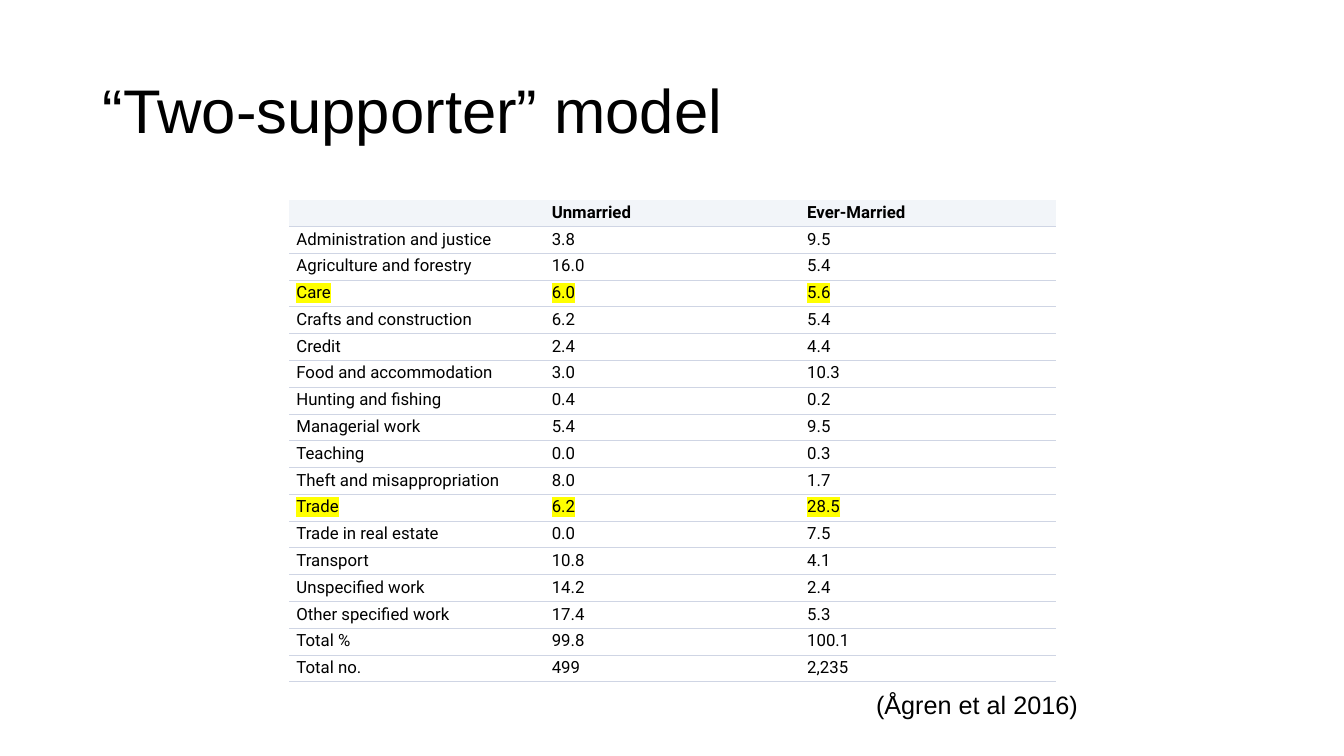
from lxml import etree
from pptx import Presentation
from pptx.dml.color import RGBColor
from pptx.enum.text import MSO_ANCHOR
from pptx.oxml.ns import qn
from pptx.util import Inches, Pt

TOP, MIDDLE = MSO_ANCHOR.TOP, MSO_ANCHOR.MIDDLE
BLACK = RGBColor(0x00, 0x00, 0x00)
WHITE = RGBColor(0xFF, 0xFF, 0xFF)
HEADER_FILL = RGBColor(0xF2, 0xF5, 0xF9)
RULE = RGBColor(0xCF, 0xD5, 0xE4)
YELLOW = RGBColor(0xFF, 0xFF, 0x00)

TITLE = "“Two-supporter” model"
CITATION = "(Ågren et al 2016)"
ROWS = [
    ("", "Unmarried", "Ever-Married"),
    ("Administration and justice", "3.8", "9.5"),
    ("Agriculture and forestry", "16.0", "5.4"),
    ("Care", "6.0", "5.6"),
    ("Crafts and construction", "6.2", "5.4"),
    ("Credit", "2.4", "4.4"),
    ("Food and accommodation", "3.0", "10.3"),
    ("Hunting and fishing", "0.4", "0.2"),
    ("Managerial work", "5.4", "9.5"),
    ("Teaching", "0.0", "0.3"),
    ("Theft and misappropriation", "8.0", "1.7"),
    ("Trade", "6.2", "28.5"),
    ("Trade in real estate", "0.0", "7.5"),
    ("Transport", "10.8", "4.1"),
    ("Unspecified work", "14.2", "2.4"),
    ("Other specified work", "17.4", "5.3"),
    ("Total %", "99.8", "100.1"),
    ("Total no.", "499", "2,235"),
]
HIGHLIGHTED = {"Care", "Trade"}
TABLE_BOX = (2.87, 1.98, 7.6, 4.79)
CELL_FORMAT = {
    "margin_left": Inches(0.07), "margin_right": Inches(0.07),
    "margin_top": Inches(0.03), "margin_bottom": Inches(0.03),
}


def set_attrs(obj, values):
    for name, value in values.items():
        setattr(obj, name, value)


def add_run(p, text, font, size, bold=False):
    r = p.add_run()
    r.text = text
    set_attrs(r.font, {"name": font, "size": Pt(size), "bold": bold})
    r.font.color.rgb = BLACK
    return r


def add_text(s, box, text, size, wrap, anchor, spacing):
    tf = s.shapes.add_textbox(*map(Inches, box)).text_frame
    set_attrs(tf, {"word_wrap": wrap, "vertical_anchor": anchor})
    p = tf.paragraphs[0]
    p.line_spacing = spacing
    add_run(p, text, "Arial", size)


def add_color(parent, color):
    etree.SubElement(parent, qn("a:srgbClr"), val=str(color))


def highlight(r, color):
    mark = etree.Element(qn("a:highlight"))
    add_color(mark, color)
    r.font._element.find(qn("a:solidFill")).addnext(mark)


def set_borders(cell, ruled_sides):
    tc_pr = cell._tc.get_or_add_tcPr()
    for i, side in enumerate("LRTB"):
        ln = etree.Element(qn(f"a:ln{side}"), w=str(Pt(0.6)))
        if side in ruled_sides:
            add_color(etree.SubElement(ln, qn("a:solidFill")), RULE)
        else:
            etree.SubElement(ln, qn("a:noFill"))
        tc_pr.insert(i, ln)


def fill_cell(cell, text, header, marked):
    set_attrs(cell, CELL_FORMAT)
    cell.vertical_anchor = MIDDLE if header else TOP
    cell.fill.solid()
    cell.fill.fore_color.rgb = HEADER_FILL if header else WHITE
    set_borders(cell, "B" if header else "TB")
    p = cell.text_frame.paragraphs[0]
    if not text:
        etree.SubElement(p._p, qn("a:endParaRPr"), sz="1200")
        return
    r = add_run(p, text, "Roboto", 12, header)
    if marked:
        highlight(r, YELLOW)


def add_work_table(s):
    n_rows, n_cols = len(ROWS), len(ROWS[0])
    left, top, width, height = map(Inches, TABLE_BOX)
    table = s.shapes.add_table(n_rows, n_cols, left, top, width, height).table
    set_attrs(table, {"first_row": False, "horz_banding": False})
    for column in table.columns:
        column.width = width // n_cols
    for i, values in enumerate(ROWS):
        table.rows[i].height = height // n_rows
        for j, text in enumerate(values):
            fill_cell(table.cell(i, j), text, i == 0, values[0] in HIGHLIGHTED)


def main():
    prs = Presentation()
    prs.slide_width, prs.slide_height = Inches(13.33), Inches(7.5)
    s = prs.slides.add_slide(prs.slide_layouts[6])
    add_text(s, (0.92, 0.4, 11.5, 1.45), TITLE, 44, True, MIDDLE, 0.9)
    add_text(s, (8.59, 6.79, 2.22, 0.71), CITATION, 18, False, TOP, 1.0)
    add_work_table(s)
    prs.save("out.pptx")


if __name__ == "__main__":
    main()
